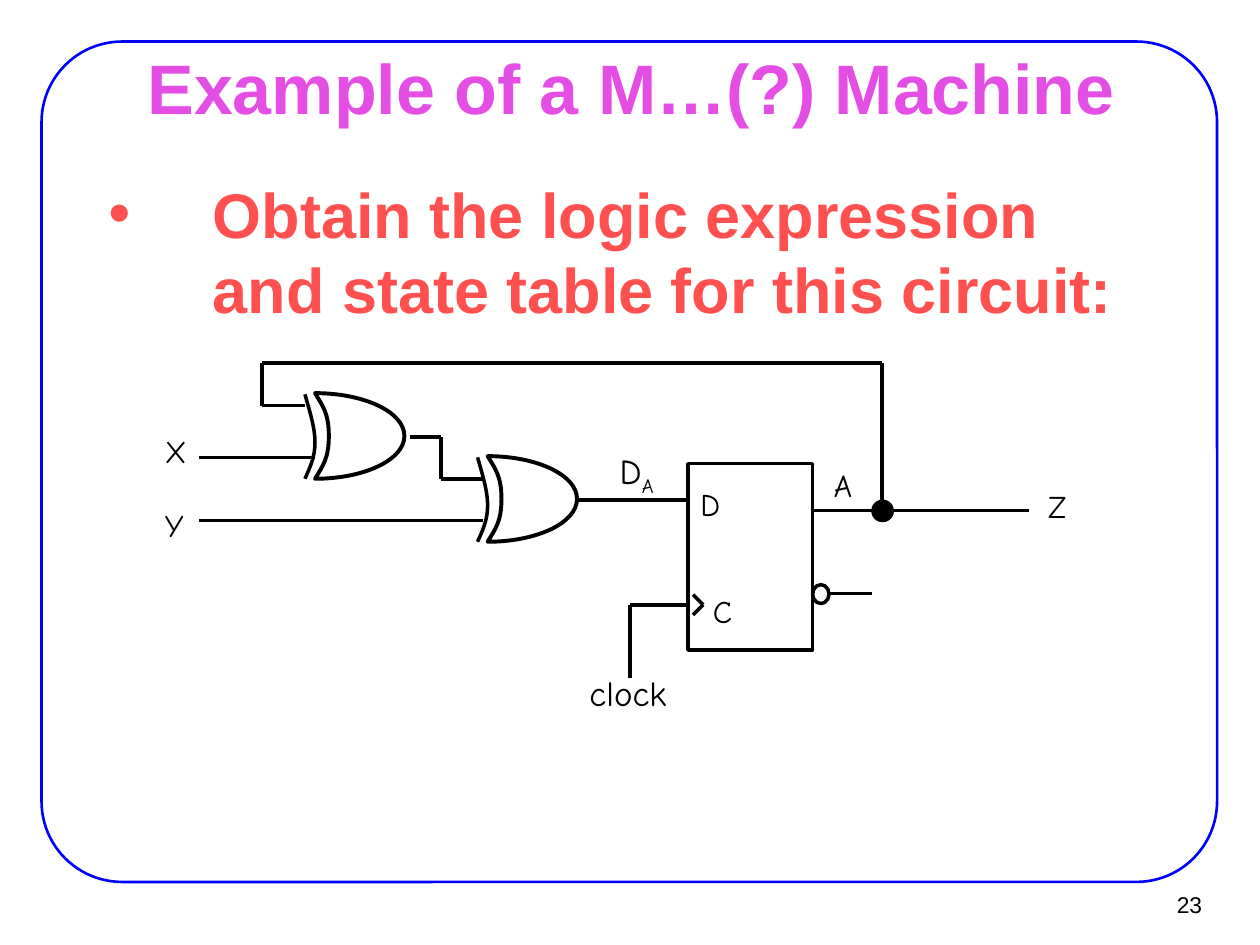
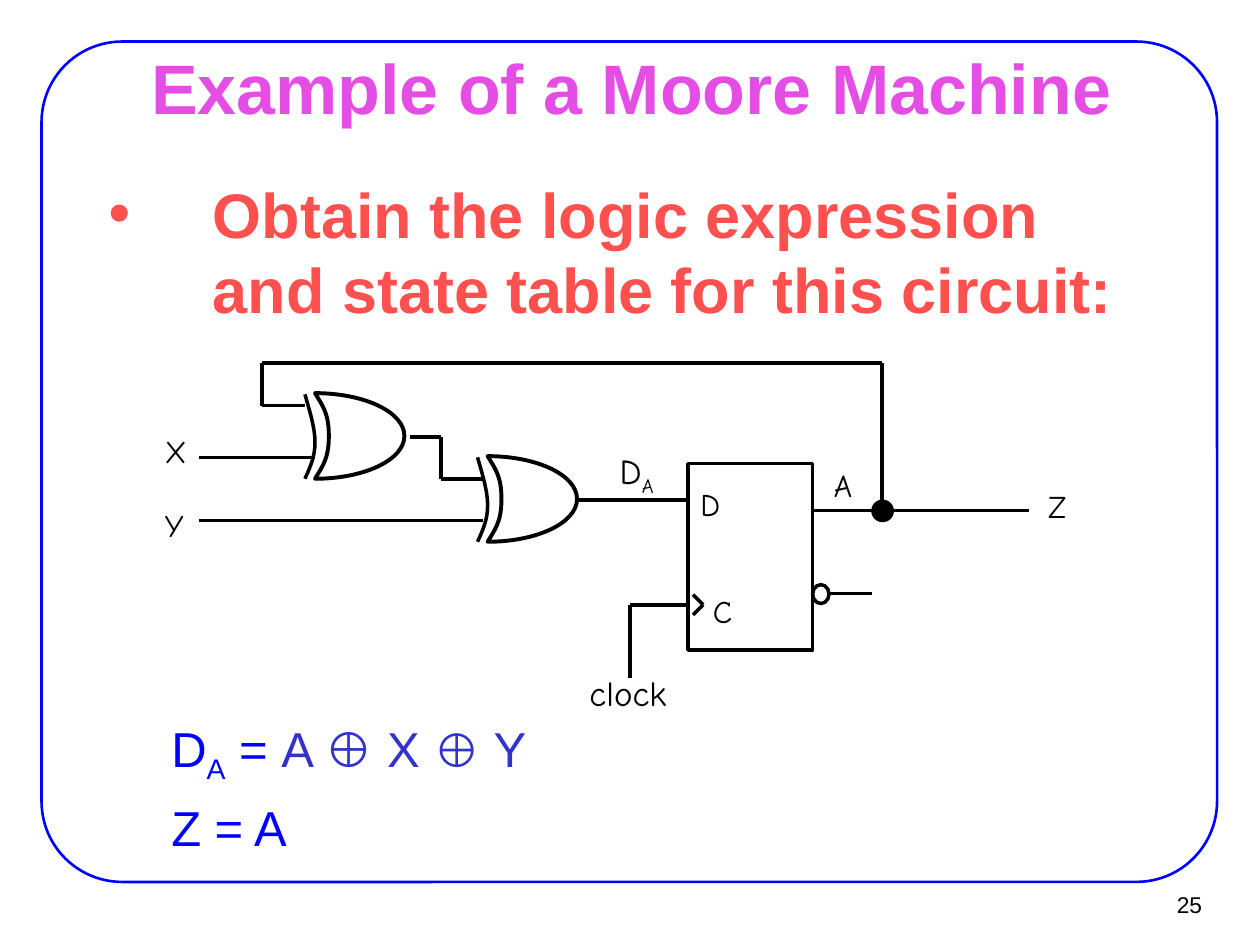
import pptx
import pptx.util
import pptx.dml.color
import pptx.enum.shapes
import pptx.enum.text
import pptx.oxml
import pptx.oxml.ns

Inches = pptx.util.Inches
SHAPE = pptx.enum.shapes.MSO_SHAPE
ALIGN = pptx.enum.text.PP_ALIGN
ANCHOR = pptx.enum.text.MSO_ANCHOR
AUTO_SIZE = pptx.enum.text.MSO_AUTO_SIZE
qn = pptx.oxml.ns.qn

BLACK, BLUE, INDIGO = "000000", "0000FF", "3333CC"
TITLE_COLOR, BODY_COLOR = "E44EE4", "FF5050"
WIRE = 2.01


def style(shape, color=BLACK, width=WIRE, fill=None):
    shape.line.color.rgb = pptx.dml.color.RGBColor.from_string(color)
    shape.line.width = pptx.util.Pt(width)
    if isinstance(shape, pptx.shapes.connector.Connector):
        properties = shape._element.spPr
        properties.append(properties.makeelement(qn("a:effectLst"), {}))
        return
    shape.shadow.inherit = False
    if fill:
        shape.fill.solid()
        shape.fill.fore_color.rgb = pptx.dml.color.RGBColor.from_string(fill)
    else:
        shape.fill.background()


def add_text(shapes, text, box, size=18, color=BLACK, font="Arial", bold=False,
             align=ALIGN.LEFT, anchor=ANCHOR.TOP, wrap=True, grow=False,
             insets=(0.11, 0.06), before=0, indent=None, bullet=None):
    shape = shapes.add_textbox(*[Inches(value) for value in box])
    frame = shape.text_frame
    frame.word_wrap = wrap
    frame.auto_size = AUTO_SIZE.SHAPE_TO_FIT_TEXT if grow else AUTO_SIZE.NONE
    frame.vertical_anchor = anchor
    frame.margin_left = frame.margin_right = Inches(insets[0])
    frame.margin_top = frame.margin_bottom = Inches(insets[1])
    paragraphs = [[(text, {})]] if isinstance(text, str) else text
    for index, runs in enumerate(paragraphs):
        paragraph = frame.add_paragraph() if index else frame.paragraphs[0]
        paragraph.alignment = align
        paragraph.space_before = pptx.util.Pt(before)
        properties = paragraph._p.get_or_add_pPr()
        if indent:
            properties.set("marL", str(Inches(indent[0])))
            properties.set("indent", str(Inches(indent[1])))
        if bullet:
            namespace = pptx.oxml.ns.nsdecls("a")
            for xml in (f'<a:buClr {namespace}><a:srgbClr val="{color}"/></a:buClr>',
                        f'<a:buFont {namespace} typeface="{font}"/>',
                        f'<a:buChar {namespace} char="{bullet}"/>'):
                properties.append(pptx.oxml.parse_xml(xml))
        for words, options in runs:
            run = paragraph.add_run()
            run.text = words
            run.font.name = font
            run.font.bold = bold
            run.font.size = pptx.util.Pt(options.get("size", size))
            run.font.color.rgb = pptx.dml.color.RGBColor.from_string(
                options.get("color", color))
            if options.get("subscript"):
                run._r.get_or_add_rPr().set("baseline", "-25000")


SUBSCRIPT = {"subscript": True}
D_A = [("D", {}), ("A", SUBSCRIPT)]

gate_body = [
    (2.5, 3.12),
    [(2.56, 3.22), (2.61, 3.28), (2.61, 3.46)],
    [(2.61, 3.64), (2.56, 3.7), (2.5, 3.8)],
    [(2.89, 3.8), (3.21, 3.65), (3.21, 3.46)],
    [(3.21, 3.27), (2.89, 3.12), (2.5, 3.12)],
]
gate_input_arc = [
    (2.42, 3.13),
    [(2.46, 3.27), (2.5, 3.4), (2.5, 3.51)],
    [(2.5, 3.63), (2.46, 3.71), (2.42, 3.8)],
]
gate_offsets = [(0, 0), (1.37, 0.5)]
gate_outlines = [(gate_body, True, 2.24), (gate_input_arc, False, WIRE)]

wires = [
    [(1.58, 3.63), (2.5, 3.63)],
    [(1.58, 4.13), (3.83, 4.13)],
    [(3.25, 3.47), (3.5, 3.47), (3.5, 3.8), (3.83, 3.8)],
    [(4.58, 3.97), (5.46, 3.97)],
    [(5, 5.38), (5, 4.8), (5.46, 4.8)],
    [(5.5, 4.72), (5.58, 4.8), (5.5, 4.88)],
    [(6.59, 4.71), (6.92, 4.71)],
    [(6.45, 4.05), (8.17, 4.05)],
    [(7, 4.05), (7, 2.88), (2.08, 2.88), (2.08, 3.22), (2.42, 3.22)],
]
components = [
    (SHAPE.RECTANGLE, (5.46, 3.68, 0.99, 1.48), WIRE, None),
    (SHAPE.OVAL, (6.45, 4.64, 0.13, 0.15), WIRE, None),
    (SHAPE.OVAL, (6.92, 3.97, 0.17, 0.17), 0.74, BLACK),
]
labels = [
    ("D", (5.46, 3.8, 0.35, 0.4), 18),
    ("C", (5.56, 4.65, 0.35, 0.4), 18),
    ("X", (1.21, 3.38, 0.37, 0.4), 18),
    ("Y", (1.21, 3.97, 0.35, 0.4), 18),
    ("A", (6.52, 3.65, 0.34, 0.4), 18),
    ("Z", (8.22, 3.82, 0.34, 0.4), 18),
    ("clock", (4.58, 5.28, 0.81, 0.44), 20),
    ([D_A], (4.82, 3.52, 0.47, 0.48), 20),
]
equations = [
    D_A + [(" = ", {}), ("A ⊕ X ", {"color": INDIGO}),
           ("⊕", {"color": INDIGO, "size": 27}), (" Y", {"color": INDIGO})],
    [("Z = A", {})],
]
slides = [
    ("Example of a M…(?) Machine", "23", None),
    ("Example of a Moore Machine", "25", equations),
]

presentation = pptx.Presentation()
presentation.slide_width = Inches(10)
presentation.slide_height = Inches(7.5)

for title, number, answer in slides:
    slide = presentation.slides.add_slide(presentation.slide_layouts[6])
    border = slide.shapes.add_shape(SHAPE.ROUNDED_RECTANGLE, Inches(0.33), Inches(0.33),
                                    Inches(9.33), Inches(6.67))
    border.adjustments[0] = 0.096
    style(border, color=BLUE, width=1.5)
    add_text(slide.shapes, number, (9.02, 6.99, 0.61, 0.37), size=13, align=ALIGN.RIGHT,
             anchor=ANCHOR.MIDDLE, wrap=False, insets=(0.09, 0.04))
    add_text(slide.shapes, title, (0.76, 0.44, 8.5, 0.49), size=40, color=TITLE_COLOR,
             bold=True, align=ALIGN.CENTER, anchor=ANCHOR.MIDDLE)
    add_text(slide.shapes, "Obtain the logic expression and state table for this circuit:",
             (0.75, 1.33, 8.5, 1.79), size=36, color=BODY_COLOR, bold=True, before=9,
             indent=(0.83, -0.83), bullet="•")

    circuit = slide.shapes.add_group_shape().shapes
    for offset_x, offset_y in gate_offsets:
        for (start, *curves), closed, width in gate_outlines:
            curves = [[(Inches(x + offset_x), Inches(y + offset_y)) for x, y in curve]
                      for curve in curves]
            builder = circuit.build_freeform(Inches(start[0] + offset_x),
                                             Inches(start[1] + offset_y))
            builder.add_line_segments([curve[-1] for curve in curves], close=closed)
            outline = builder.convert_to_shape()
            segments = list(outline._element.iter(qn("a:lnTo")))
            for segment, curve in zip(segments, curves):
                bezier = segment.makeelement(qn("a:cubicBezTo"), {})
                for x, y in curve:
                    point = {"x": str(x - outline.left), "y": str(y - outline.top)}
                    bezier.append(bezier.makeelement(qn("a:pt"), point))
                segment.getparent().replace(segment, bezier)
            style(outline, width=width)
    for wire in wires:
        for start, end in zip(wire, wire[1:]):
            ends = [Inches(value) for value in start + end]
            style(circuit.add_connector(pptx.enum.shapes.MSO_CONNECTOR.STRAIGHT, *ends))
    for kind, box, width, fill in components:
        component = circuit.add_shape(kind, *[Inches(value) for value in box])
        style(component, width=width, fill=fill)
    for text, box, size in labels:
        add_text(circuit, text, box, size=size, font="Comic Neue", wrap=False, grow=True,
                 insets=(0.1, 0.05))

    if answer:
        add_text(slide.shapes, answer, (0.75, 5.64, 8.5, 1.26), size=28, color=BLUE,
                 before=7, indent=(0.81, -0.31))

presentation.save("out.pptx")
